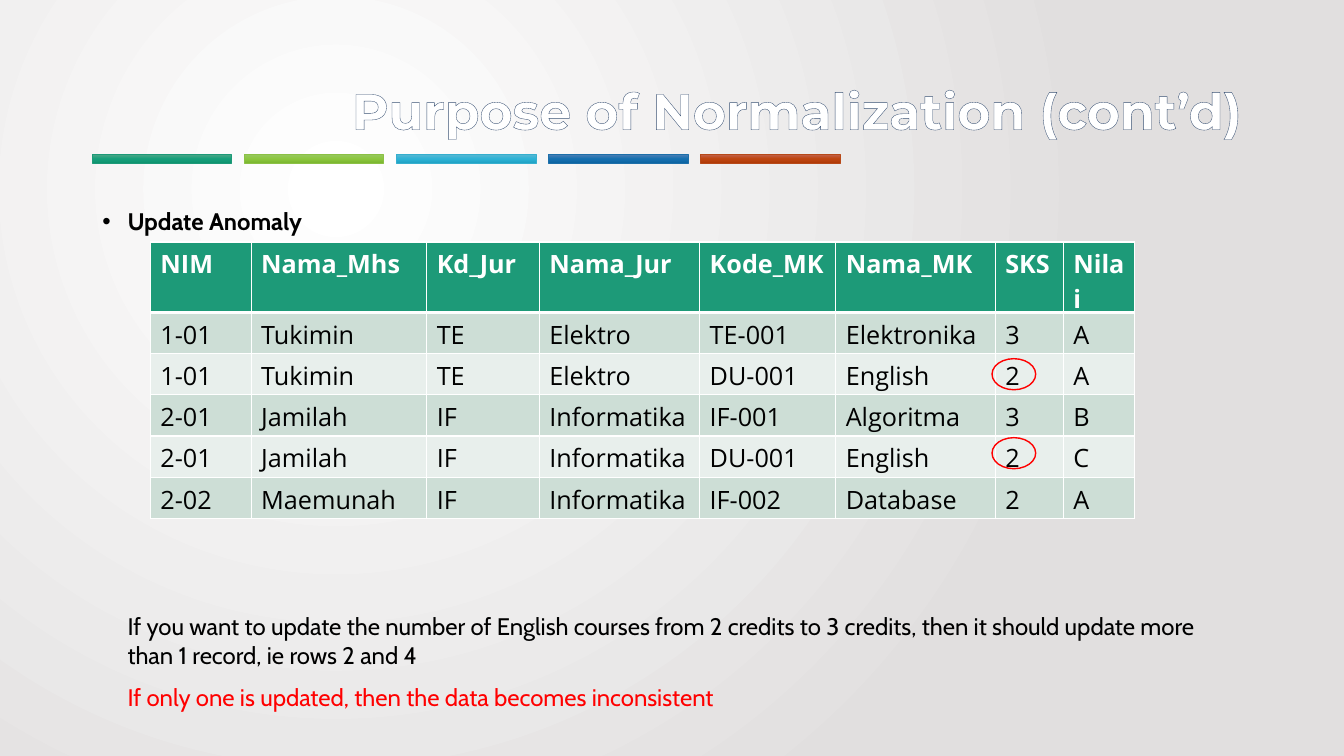
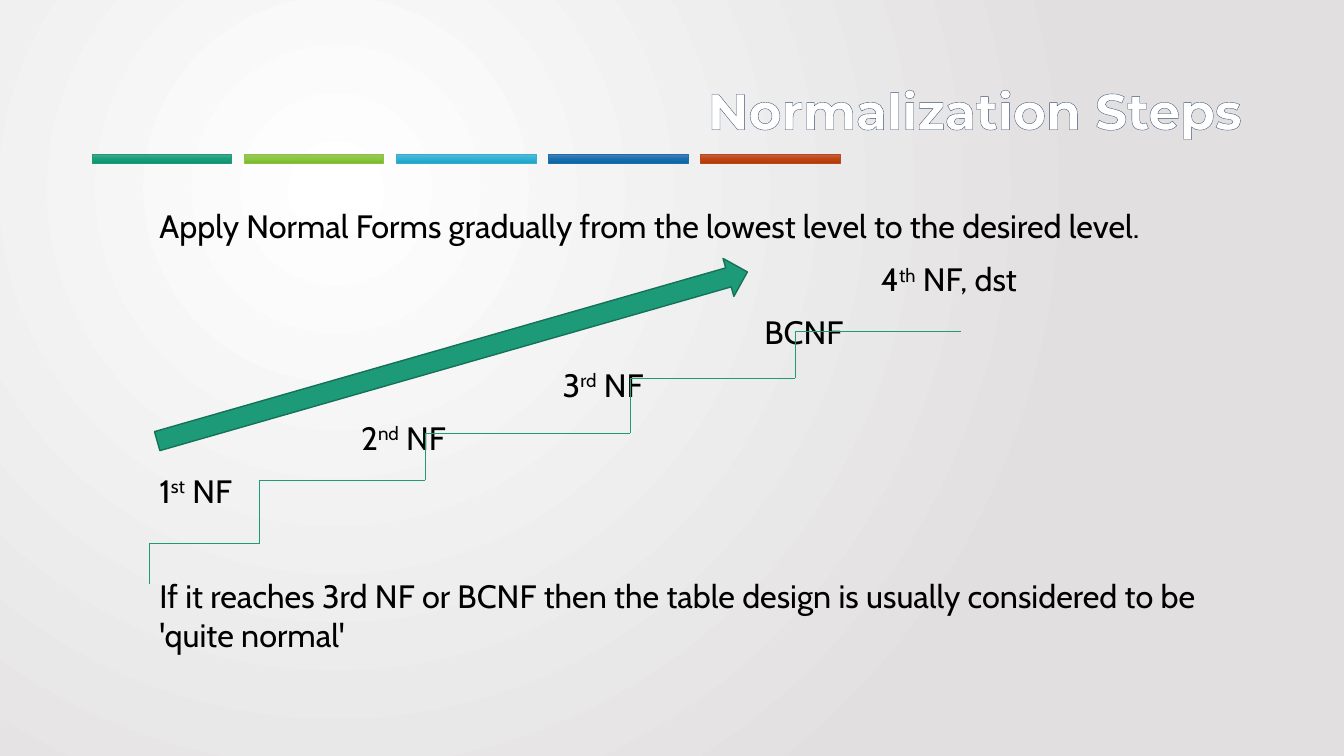
"""Builds two slides on database normalization: an update anomaly and the normal form steps."""
from copy import deepcopy
from itertools import pairwise

from pptx import Presentation
from pptx.dml.color import RGBColor
from pptx.enum.shapes import MSO_CONNECTOR, MSO_SHAPE
from pptx.enum.text import MSO_ANCHOR, PP_ALIGN
from pptx.oxml import parse_xml
from pptx.oxml.ns import nsdecls, qn
from pptx.util import Emu, Inches, Pt

RECTANGLE = MSO_SHAPE.RECTANGLE
OVAL = MSO_SHAPE.OVAL
RIGHT_ARROW = MSO_SHAPE.RIGHT_ARROW
STRAIGHT = MSO_CONNECTOR.STRAIGHT
MIDDLE = MSO_ANCHOR.MIDDLE
RIGHT = PP_ALIGN.RIGHT

WHITE = RGBColor(0xFF, 0xFF, 0xFF)
BLACK = RGBColor(0x00, 0x00, 0x00)
RED = RGBColor(0xFF, 0x00, 0x00)
GREEN = RGBColor(0x1D, 0x9A, 0x78)
DARK_GREEN = RGBColor(0x15, 0x72, 0x59)
PALE_GREEN = RGBColor(0xCD, 0xDE, 0xD6)
FAINT_GREEN = RGBColor(0xE8, 0xEF, 0xEC)
EDGE_GRAY = RGBColor(0xE1, 0xDF, 0xDF)
BANDS = [
    (GREEN, ("4EA788", "17A07B", "0F9470")),
    (RGBColor(0x8B, 0xC1, 0x45), ("98C862", "8CC73F", "7DB831")),
    (RGBColor(0x36, 0xAF, 0xCE), ("59B8D4", "2EB3D6", "21A4C6")),
    (RGBColor(0x1D, 0x6F, 0xA9), ("4E80B5", "1670B0", "0D65A3")),
    (RGBColor(0xB7, 0x49, 0x19), ("C2634D", "BF4611", "B13B08")),
]

TITLE = {"name": "Montserrat", "size": Pt(36), "bold": True}
HEADING = {"name": "Cabin", "size": Pt(17.1), "bold": True}
NOTE = {"name": "Cabin", "size": Pt(17.1)}
STEP = {"name": "Cabin", "size": Pt(23.1)}
TABLE_HEAD = {"name": "Open Sans", "size": Pt(18), "bold": True}
TABLE_BODY = {"name": "Open Sans", "size": Pt(18), "bold": False}

prs = Presentation()
prs.slide_width, prs.slide_height = Inches(13.33), Inches(7.5)
COLUMN, ROW = prs.slide_width / 160, prs.slide_height / 90
MARGIN, CONTENT_WIDTH, CONTENT_TOP = 11, 138, 24


def grid(left, top, *size):
    """Turns columns and rows of the slide grid into lengths."""
    return [Emu(int(n * unit)) for n, unit in zip((left, top, *size), (COLUMN, ROW) * 2)]


def write(frame, look, *paragraphs):
    """Fills a frame with (colour, texts) paragraphs, every second text being raised."""
    frame.word_wrap = True
    for number, (color, texts) in enumerate(paragraphs):
        paragraph = frame.add_paragraph() if number else frame.paragraphs[0]
        if number:
            paragraph.space_before = Pt(10)
        for place, text in enumerate(texts):
            run = paragraph.add_run()
            run.text = text
            for name, value in look.items():
                setattr(run.font, name, value)
            run.font.color.rgb = color
            if place % 2:
                run.font._element.set("baseline", "30000")
    return frame


master = prs.slide_master
backdrop = master.background.fill
backdrop.gradient()
for stop, color, position in zip(backdrop.gradient_stops, (WHITE, EDGE_GRAY), (0, 1)):
    stop.color.rgb, stop.position = color, position
glow = master.element.find(".//" + qn("a:gradFill"))
glow.remove(glow.find(qn("a:lin")))
glow.append(parse_xml(
    f'<a:path {nsdecls("a")} path="circle">'
    '<a:fillToRect l="50000" t="50000" r="100000" b="100000"/></a:path>'))

slides = []
for heading in ("Purpose of Normalization (cont’d)", "Normalization Steps"):
    slide = prs.slides.add_slide(prs.slide_layouts[6])
    slides.append(slide)
    for number, (edge, shades) in enumerate(BANDS):
        band = slide.shapes.add_shape(RECTANGLE, *grid(MARGIN + 18.1 * number, 18.4, 16.6, 1))
        band.shadow.inherit = False
        band.line.color.rgb, band.line.width = edge, Pt(0.5)
        band.fill.gradient()
        band.fill.gradient_angle = 270
        stops = band.element.find(".//" + qn("a:gsLst"))
        stops.append(deepcopy(stops[0]))
        for stop, shade, position in zip(band.fill.gradient_stops, shades, (0, 0.5, 1)):
            stop.color.rgb, stop.position = RGBColor.from_string(shade), position
    title = write(slide.shapes.add_textbox(*grid(MARGIN, 4.8, CONTENT_WIDTH, 17.4)).text_frame,
                  TITLE, (WHITE, [heading]))
    title.vertical_anchor = MIDDLE
    title.paragraphs[0].alignment = RIGHT
    title.paragraphs[0].line_spacing = 0.9
    title.paragraphs[0].runs[0].font._element.insert(0, parse_xml(
        f'<a:ln {nsdecls("a")} w="12700"><a:solidFill><a:srgbClr val="3A5274"/></a:solidFill></a:ln>'))
anomaly, steps = slides

topic = write(anomaly.shapes.add_textbox(*grid(MARGIN, CONTENT_TOP, CONTENT_WIDTH, 4.5)).text_frame,
              HEADING, (BLACK, ["Update Anomaly"]))
bullet = topic.paragraphs[0]._p.get_or_add_pPr()
bullet.set("marL", str(Inches(0.25)))
bullet.set("indent", str(-Inches(0.25)))
bullet.append(parse_xml(f'<a:buFont {nsdecls("a")} typeface="Arial"/>'))
bullet.append(parse_xml(f'<a:buChar {nsdecls("a")} char="•"/>'))

RECORDS = [
    ("NIM", "Nama_Mhs", "Kd_Jur", "Nama_Jur", "Kode_MK", "Nama_MK", "SKS", "Nilai"),
    ("1-01", "Tukimin", "TE", "Elektro", "TE-001", "Elektronika", "3", "A"),
    ("1-01", "Tukimin", "TE", "Elektro", "DU-001", "English", "2", "A"),
    ("2-01", "Jamilah", "IF", "Informatika", "IF-001", "Algoritma", "3", "B"),
    ("2-01", "Jamilah", "IF", "Informatika", "DU-001", "English", "2", "C"),
    ("2-02", "Maemunah", "IF", "Informatika", "IF-002", "Database", "2", "A"),
]
FIELD_WIDTHS = (12, 20.9, 13.4, 19.1, 16.2, 19, 8.1, 8.5)
RECORD_HEIGHT = 4.9
grades = anomaly.shapes.add_table(
    len(RECORDS), len(FIELD_WIDTHS),
    *grid(17.9, 28.8, sum(FIELD_WIDTHS), RECORD_HEIGHT * len(RECORDS))).table
grades.horz_banding = False
for field, width in zip(grades.columns, FIELD_WIDTHS):
    field.width = Emu(int(width * COLUMN))
for number, record in enumerate(RECORDS):
    grades.rows[number].height = Emu(int(RECORD_HEIGHT * ROW))
    look, ink = (TABLE_BODY, BLACK) if number else (TABLE_HEAD, WHITE)
    tint = (PALE_GREEN if number % 2 else FAINT_GREEN) if number else GREEN
    borders = {"lnL": 1, "lnR": 1, "lnT": 3 if number == 1 else 1, "lnB": 1 if number else 3}
    for position, value in enumerate(record):
        cell = grades.cell(number, position)
        write(cell.text_frame, look, (ink, [value]))
        cell.fill.solid()
        cell.fill.fore_color.rgb = tint
        for order, (side, weight) in enumerate(borders.items()):
            cell._tc.get_or_add_tcPr().insert(order, parse_xml(
                f'<a:{side} {nsdecls("a")} w="{Pt(weight)}"><a:solidFill>'
                f'<a:srgbClr val="{WHITE}"/></a:solidFill></a:{side}>'))

for top in (42.7, 52.1):
    credit_mark = anomaly.shapes.add_shape(OVAL, *grid(118.1, top, 5.2, 3.7))
    credit_mark.shadow.inherit = False
    credit_mark.fill.background()
    credit_mark.line.color.rgb, credit_mark.line.width = RED, Pt(1)

write(anomaly.shapes.add_textbox(*grid(14, 72.2, 135, 13)).text_frame, NOTE,
      (BLACK, ["If you want to update the number of English courses from 2 credits to 3 credits, "
               "then it should update more than 1 record, ie rows 2 and 4"]),
      (RED, ["If only one is updated, then the data becomes inconsistent"]))

STEP_LEFT, STEP_WIDTH, STEP_PITCH = 17.8, 24, 6.29
STEP_TEXTS = [
    (0, 0, 131.2, ["Apply Normal Forms gradually from the lowest level to the desired level."]),
    (85.9, 1, STEP_WIDTH, ["4", "th", " NF, dst"]),
    (3 * STEP_WIDTH, 2, STEP_WIDTH, ["BCNF"]),
    (2 * STEP_WIDTH, 3, STEP_WIDTH, ["3", "rd", " NF"]),
    (STEP_WIDTH, 4, STEP_WIDTH, ["2", "nd", " NF"]),
    (0, 5, STEP_WIDTH, ["1", "st", " NF"]),
    (0, 7, 131.2, ["If it reaches 3rd NF or BCNF then the table design is usually "
                   "considered to be 'quite normal'"]),
]
for offset, level, width, texts in STEP_TEXTS:
    area = grid(STEP_LEFT + offset, CONTENT_TOP + STEP_PITCH * level, width, 6)
    write(steps.shapes.add_textbox(*area).text_frame, STEP, (BLACK, texts))

STAIR_CORNERS = [
    (17.8, 69.5), (17.8, 64.7), (30.9, 64.7), (30.9, 57.2), (50.6, 57.2), (50.6, 51.6),
    (75, 51.6), (75, 45), (94.7, 45), (94.7, 39.4), (114.4, 39.4),
]
for start, end in pairwise(STAIR_CORNERS):
    stair = steps.shapes.add_connector(STRAIGHT, *grid(*start, *end))
    stair.line.color.rgb, stair.line.width = GREEN, Pt(0.5)
    stair.element.spPr.append(parse_xml(f'<a:effectLst {nsdecls("a")}/>'))

ascent = steps.shapes.add_shape(RIGHT_ARROW, *grid(17.3, 40.1, 73.1, 4.7))
ascent.shadow.inherit = False
ascent.rotation = 344
ascent.fill.solid()
ascent.fill.fore_color.rgb = GREEN
ascent.line.color.rgb, ascent.line.width = DARK_GREEN, Pt(1)

prs.save("out.pptx")
